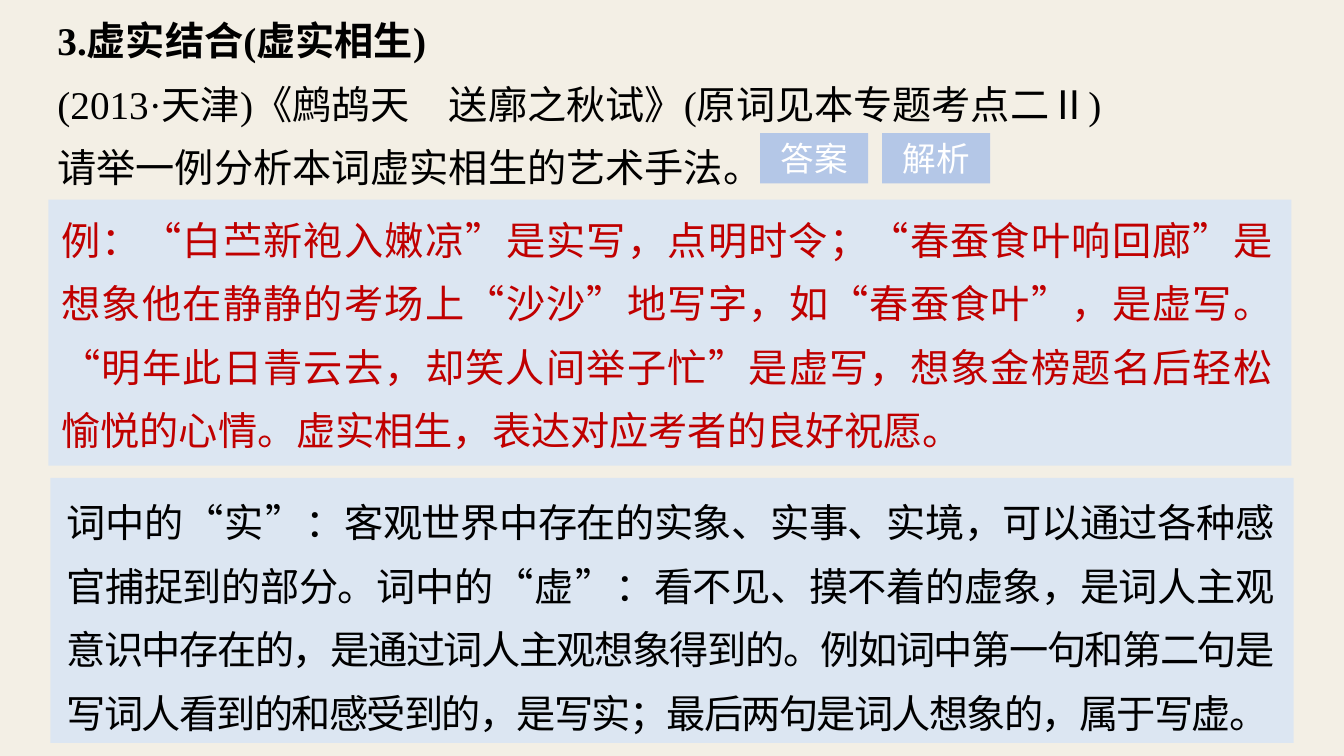
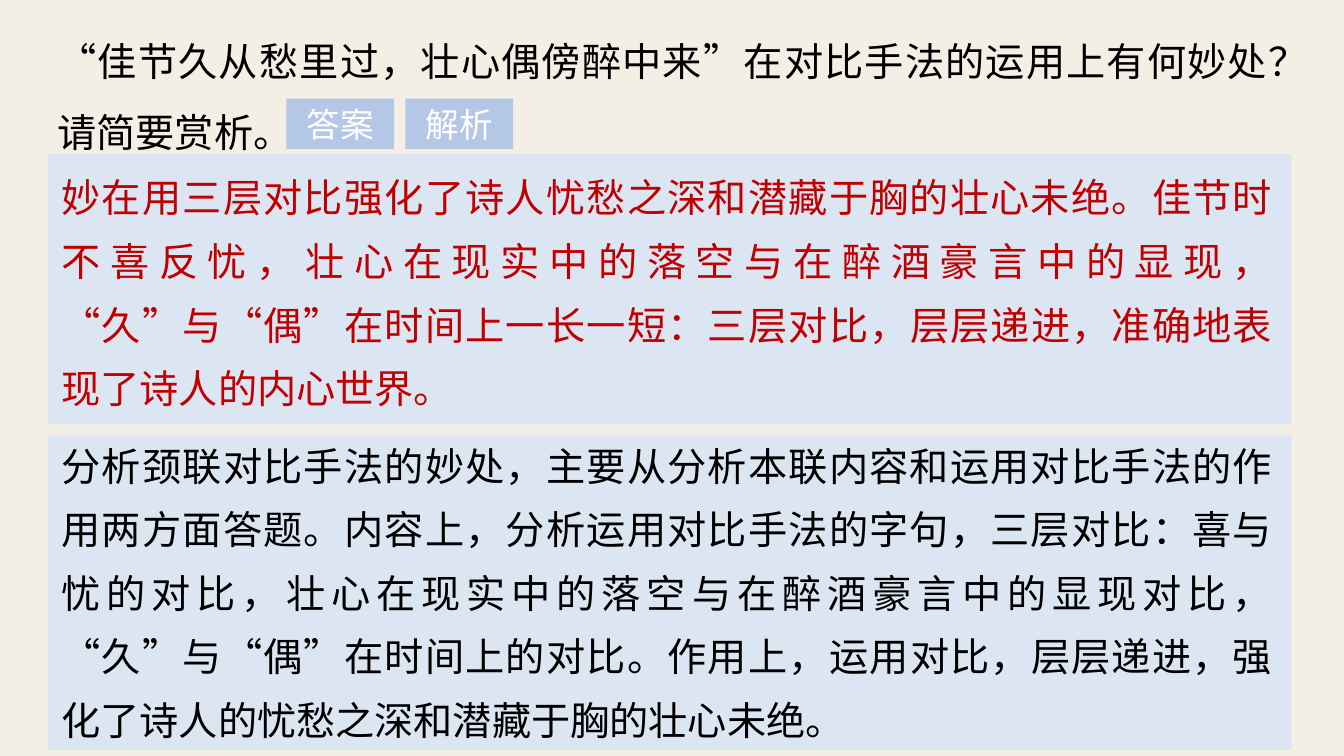
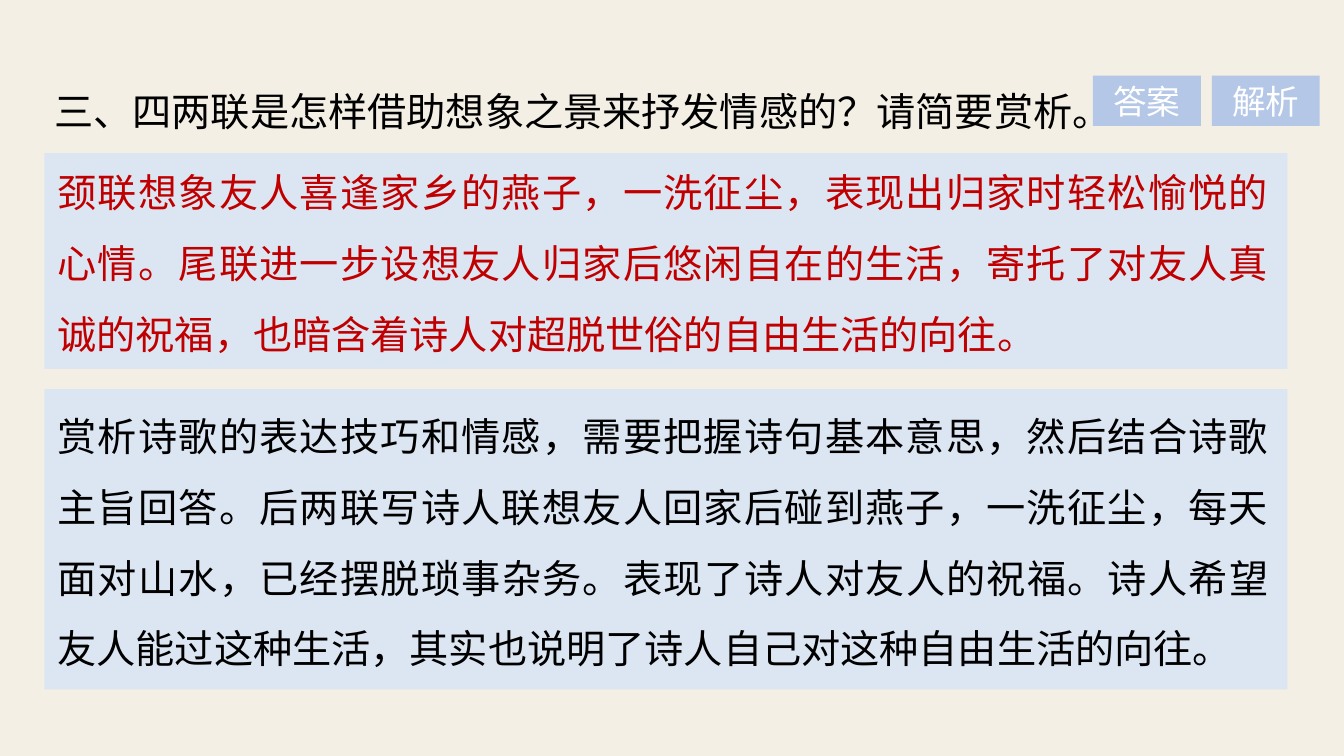
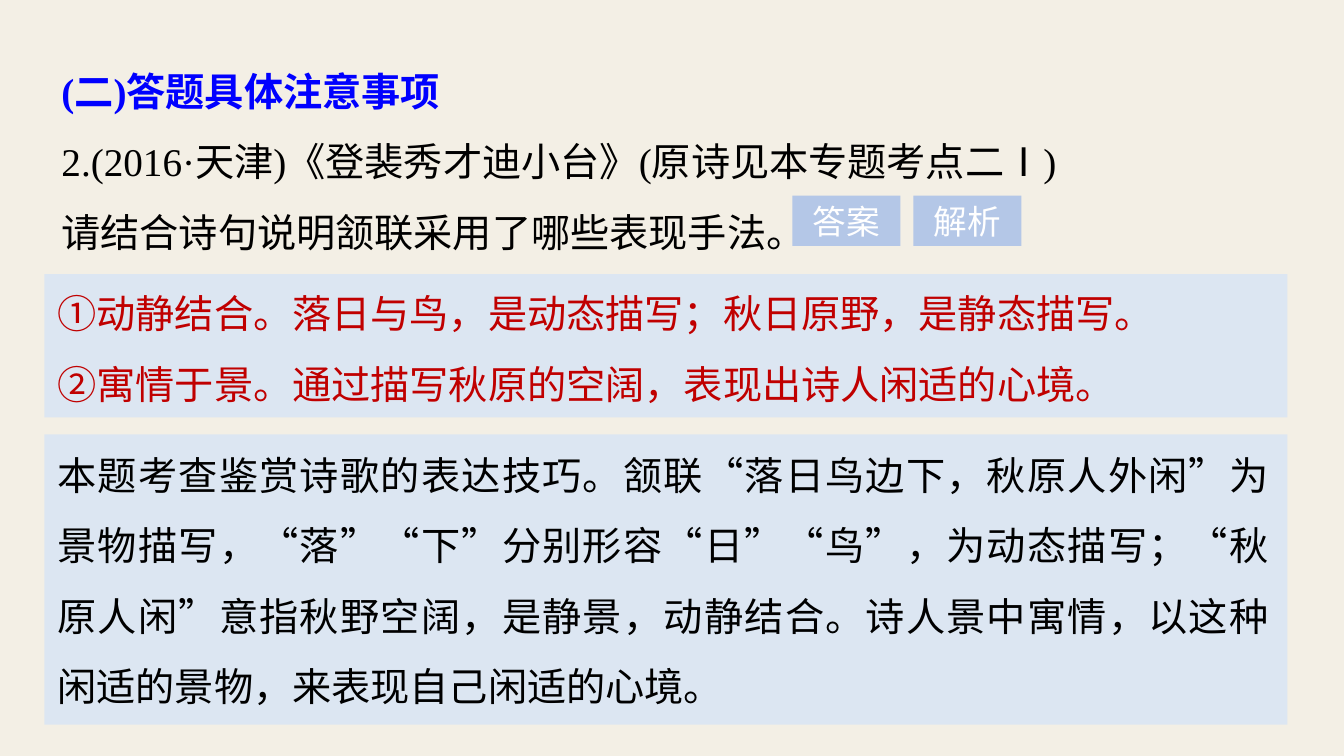
from dataclasses import dataclass
from itertools import groupby

from lxml.etree import SubElement
from pptx import Presentation
from pptx.dml.color import RGBColor
from pptx.enum.lang import MSO_LANGUAGE_ID
from pptx.enum.shapes import MSO_SHAPE
from pptx.enum.text import MSO_ANCHOR, MSO_AUTO_SIZE, PP_ALIGN
from pptx.oxml.ns import qn
from pptx.util import Inches, Pt

CREAM = RGBColor(0xF3, 0xEF, 0xE5)
PALE_BLUE = RGBColor(0xDC, 0xE6, 0xF2)
BADGE_BLUE = RGBColor(0xB4, 0xC7, 0xE7)
WHITE = RGBColor(0xFF, 0xFF, 0xFF)
BLACK = RGBColor(0, 0, 0)
RED = RGBColor(0xC0, 0, 0)
BLUE = RGBColor(0, 0, 0xFF)

LATIN_FONT = "Times New Roman"
CHINESE_FONT = "Noto Sans CJK SC"
BADGE_FONT = "Arial"
WIDE_MARKS = "“”ⅠⅡ①②"

TEXT_WIDTH = 12.27
PANEL_WIDTH = 12.33
BADGE_WIDTH, BADGE_HEIGHT = 1.07, 0.5


@dataclass
class Box:
    """A rectangle in inches."""
    left: float
    top: float
    width: float
    height: float

    def lengths(self):
        """Return the four measures as lengths."""
        return [Inches(value) for value in (self.left, self.top, self.width, self.height)]


def write_paragraph(paragraph, text, *, size=28, color=BLACK, font=LATIN_FONT, bold=False,
                    align=PP_ALIGN.JUSTIFY, line_spacing=None, tracking=None):
    """Write text, setting full-width marks in the Chinese font."""
    paragraph.alignment = align
    if line_spacing:
        paragraph.line_spacing = line_spacing
    for is_wide, characters in groupby(text, key=lambda character: character in WIDE_MARKS):
        run = paragraph.add_run()
        run.text = "".join(characters)
        run.font.size = Pt(size)
        run.font.bold = bold
        run.font.color.rgb = color
        run.font.name = CHINESE_FONT if is_wide else font
        run.font.language_id = MSO_LANGUAGE_ID.SIMPLIFIED_CHINESE
        properties = run.font._element
        SubElement(properties, qn("a:ea"), typeface=CHINESE_FONT)
        if tracking is not None:
            properties.set("spc", str(round(tracking * 100)))


def add_text(slide, box, lines, *, title=None, title_color=BLACK, **text_format):
    """Add a text box with an optional bold title line."""
    frame = slide.shapes.add_textbox(*box.lengths()).text_frame
    frame.word_wrap = True
    frame.auto_size = MSO_AUTO_SIZE.SHAPE_TO_FIT_TEXT
    frame.margin_left = frame.margin_right = Inches(0.13)
    frame.margin_top = frame.margin_bottom = Inches(0.07)
    rows = [(line, {}) for line in lines]
    if title:
        rows.insert(0, (title, {"bold": True, "color": title_color}))
    for index, (line, extra) in enumerate(rows):
        paragraph = frame.add_paragraph() if index else frame.paragraphs[0]
        write_paragraph(paragraph, line, **{**text_format, **extra})


def add_rectangle(slide, box, color):
    """Add a plain filled rectangle."""
    shape = slide.shapes.add_shape(MSO_SHAPE.RECTANGLE, *box.lengths())
    shape.shadow.inherit = False
    shape.fill.solid()
    shape.fill.fore_color.rgb = color
    shape.line.fill.background()
    return shape


def add_panel(slide, panel, text_box, lines, **text_format):
    """Add a pale panel and the text that lies on it."""
    add_rectangle(slide, panel, PALE_BLUE)
    add_text(slide, text_box, lines, **text_format)


def add_badges(slide, left, top, step):
    """Add the answer and explanation badges side by side."""
    for index, label in enumerate(("答案", "解析")):
        box = Box(left + index * step, top, BADGE_WIDTH, BADGE_HEIGHT)
        frame = add_rectangle(slide, box, BADGE_BLUE).text_frame
        frame.vertical_anchor = MSO_ANCHOR.MIDDLE
        write_paragraph(frame.paragraphs[0], label, size=24, color=WHITE,
                        font=BADGE_FONT, align=PP_ALIGN.CENTER)


def add_question_slide(presentation, question, badges, answer, explanation):
    """Add a slide with a question, its badges, an answer and an explanation."""
    slide = presentation.slides.add_slide(presentation.slide_layouts[6])
    add_text(slide, **question)
    add_panel(slide, color=RED, **answer)
    add_panel(slide, **explanation)
    add_badges(slide, *badges)


QUESTIONS = [
    {
        "question": {
            "box": Box(0.44, -0.07, TEXT_WIDTH, 1.97), "line_spacing": 1.35,
            "title": "3.虚实结合(虚实相生)",
            "lines": ["(2013·天津)《鹧鸪天　送廓之秋试》(原词见本专题考点二Ⅱ)",
                      "请举一例分析本词虚实相生的艺术手法。"],
        },
        "badges": (7.54, 1.32, 1.21),
        "answer": {
            "panel": Box(0.48, 1.98, PANEL_WIDTH, 2.64),
            "text_box": Box(0.48, 1.91, TEXT_WIDTH, 2.68), "line_spacing": 1.35,
            "lines": ["例：“白苎新袍入嫩凉”是实写，点明时令；“春蚕食叶响回廊”是想象他在静静的考场上"
                      "“沙沙”地写字，如“春蚕食叶”，是虚写。“明年此日青云去，却笑人间举子忙”是虚写，"
                      "想象金榜题名后轻松愉悦的心情。虚实相生，表达对应考者的良好祝愿。"],
        },
        "explanation": {
            "panel": Box(0.5, 4.74, PANEL_WIDTH, 2.63),
            "text_box": Box(0.53, 4.71, 12.22, 2.61), "line_spacing": 1.35, "tracking": -1.2,
            "lines": ["词中的“实”：客观世界中存在的实象、实事、实境，可以通过各种感官捕捉到的部分。"
                      "词中的“虚”：看不见、摸不着的虚象，是词人主观意识中存在的，是通过词人主观想象得到的。"
                      "例如词中第一句和第二句是写词人看到的和感受到的，是写实；最后两句是词人想象的，属于写虚。"],
        },
    },
    {
        "question": {
            "box": Box(0.44, 0.07, TEXT_WIDTH, 1.46), "line_spacing": 1.5,
            "lines": ["“佳节久从愁里过，壮心偶傍醉中来”在对比手法的运用上有何妙处？请简要赏析。"],
        },
        "badges": (2.84, 0.98, 1.18),
        "answer": {
            "panel": Box(0.48, 1.53, PANEL_WIDTH, 2.68),
            "text_box": Box(0.48, 1.49, TEXT_WIDTH, 2.68), "line_spacing": 1.35,
            "lines": ["妙在用三层对比强化了诗人忧愁之深和潜藏于胸的壮心未绝。佳节时不喜反忧，"
                      "壮心在现实中的落空与在醉酒豪言中的显现，“久”与“偶”在时间上一长一短："
                      "三层对比，层层递进，准确地表现了诗人的内心世界。"],
        },
        "explanation": {
            "panel": Box(0.48, 4.32, PANEL_WIDTH, 3.12),
            "text_box": Box(0.48, 4.15, TEXT_WIDTH, 3.24), "line_spacing": 1.35,
            "lines": ["分析颈联对比手法的妙处，主要从分析本联内容和运用对比手法的作用两方面答题。"
                      "内容上，分析运用对比手法的字句，三层对比：喜与忧的对比，"
                      "壮心在现实中的落空与在醉酒豪言中的显现对比，“久”与“偶”在时间上的对比。"
                      "作用上，运用对比，层层递进，强化了诗人的忧愁之深和潜藏于胸的壮心未绝。"],
        },
    },
    {
        "question": {
            "box": Box(0.41, 0.56, TEXT_WIDTH, 0.75), "line_spacing": 1.5,
            "lines": ["三、四两联是怎样借助想象之景来抒发情感的？请简要赏析。"],
        },
        "badges": (10.84, 0.75, 1.18),
        "answer": {
            "panel": Box(0.44, 1.52, PANEL_WIDTH, 2.14),
            "text_box": Box(0.44, 1.37, TEXT_WIDTH, 2.16), "line_spacing": 1.5,
            "lines": ["颈联想象友人喜逢家乡的燕子，一洗征尘，表现出归家时轻松愉悦的心情。"
                      "尾联进一步设想友人归家后悠闲自在的生活，寄托了对友人真诚的祝福，"
                      "也暗含着诗人对超脱世俗的自由生活的向往。"],
        },
        "explanation": {
            "panel": Box(0.44, 3.86, PANEL_WIDTH, 2.98),
            "text_box": Box(0.44, 3.79, TEXT_WIDTH, 2.87), "line_spacing": 1.5,
            "lines": ["赏析诗歌的表达技巧和情感，需要把握诗句基本意思，然后结合诗歌主旨回答。"
                      "后两联写诗人联想友人回家后碰到燕子，一洗征尘，每天面对山水，已经摆脱琐事杂务。"
                      "表现了诗人对友人的祝福。诗人希望友人能过这种生活，"
                      "其实也说明了诗人自己对这种自由生活的向往。"],
        },
    },
    {
        "question": {
            "box": Box(0.48, 0.36, TEXT_WIDTH, 2.26), "line_spacing": 1.5,
            "title": "(二)答题具体注意事项", "title_color": BLUE,
            "lines": ["2.(2016·天津)《登裴秀才迪小台》(原诗见本专题考点二Ⅰ)",
                      "请结合诗句说明颔联采用了哪些表现手法。"],
        },
        "badges": (7.86, 1.94, 1.2),
        "answer": {
            "panel": Box(0.44, 2.72, PANEL_WIDTH, 1.42),
            "text_box": Box(0.44, 2.57, TEXT_WIDTH, 1.46), "line_spacing": 1.5,
            "lines": ["①动静结合。落日与鸟，是动态描写；秋日原野，是静态描写。",
                      "②寓情于景。通过描写秋原的空阔，表现出诗人闲适的心境。"],
        },
        "explanation": {
            "panel": Box(0.44, 4.31, PANEL_WIDTH, 2.88),
            "text_box": Box(0.44, 4.17, TEXT_WIDTH, 2.87), "line_spacing": 1.5,
            "lines": ["本题考查鉴赏诗歌的表达技巧。颔联“落日鸟边下，秋原人外闲”为景物描写，"
                      "“落”“下”分别形容“日”“鸟”，为动态描写；“秋原人闲”意指秋野空阔，是静景，"
                      "动静结合。诗人景中寓情，以这种闲适的景物，来表现自己闲适的心境。"],
        },
    },
]


def main():
    """Build and save the presentation."""
    presentation = Presentation()
    presentation.slide_width = Inches(13.33)
    presentation.slide_height = Inches(7.5)
    background = presentation.slide_master.background.fill
    background.solid()
    background.fore_color.rgb = CREAM
    for content in QUESTIONS:
        add_question_slide(presentation, **content)
    presentation.save("out.pptx")


if __name__ == "__main__":
    main()
